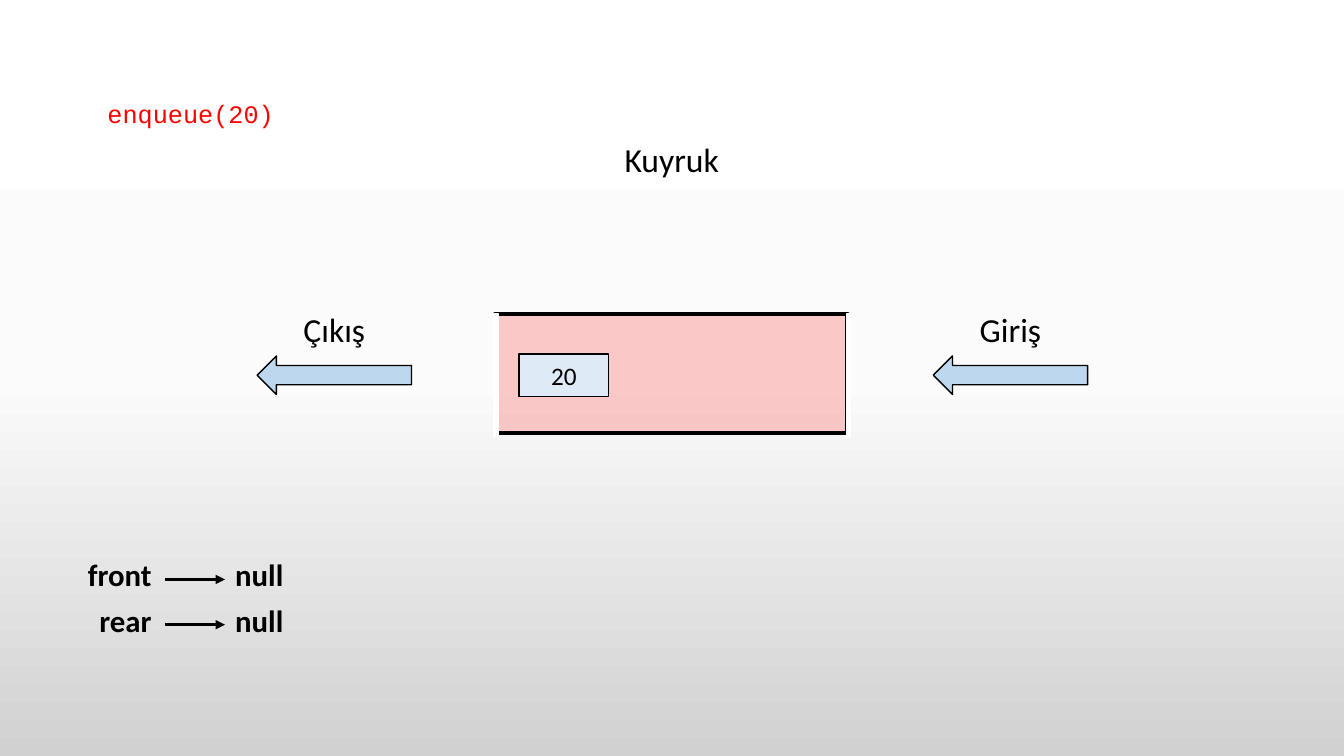
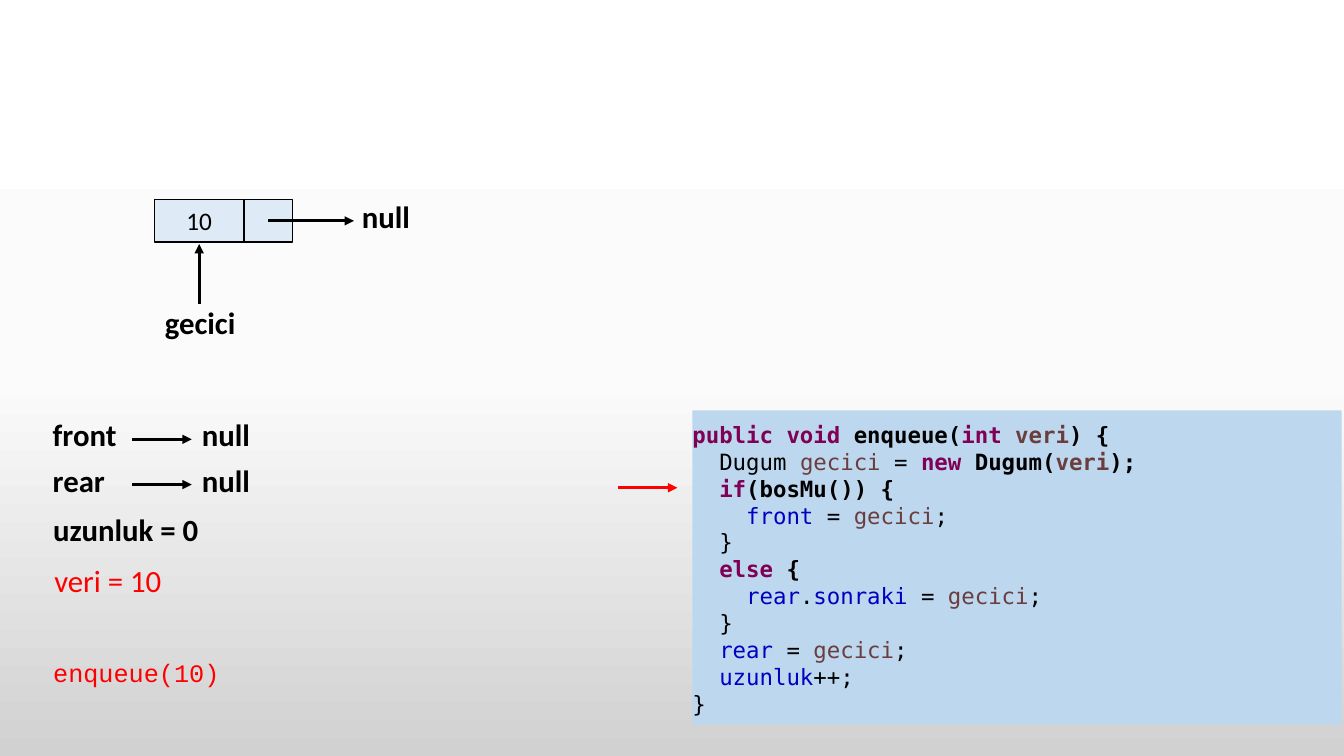
from copy import deepcopy
from dataclasses import dataclass

from lxml import etree
from pptx import Presentation
from pptx.dml.color import RGBColor as RGB
from pptx.enum.shapes import MSO_CONNECTOR as CONN, MSO_SHAPE as SHAPE
from pptx.enum.text import MSO_ANCHOR as ANCHOR, MSO_AUTO_SIZE as AUTO, PP_ALIGN as ALIGN
from pptx.oxml.ns import qn
from pptx.util import Cm, Pt


# Theme: colours and text styles
@dataclass(frozen=True)
class Style:
    font: str
    size: int
    color: str = "000000"
    bold: bool = False


@dataclass(frozen=True)
class Theme:
    black: str = "000000"
    white: str = "FFFFFF"
    red: str = "FF0000"
    blue: str = "BDD7EE"
    cell: str = "DEEBF7"
    backdrop: tuple = ((0, "FFFFFF"), (50, "FBFBFB"), (100, "D1D1D1"))
    label: Style = Style("Calibri", 24)
    value: Style = Style("Calibri", 18)
    name: Style = Style("Calibri", 22, bold=True)
    argument: Style = Style("Calibri", 22, "FF0000")
    call: Style = Style("Courier New", 18, "FF0000")


T = Theme()
MONO, MONO_SIZE = "DejaVu Sans Mono", 16
SYNTAX = {
    "key": Style(MONO, MONO_SIZE, "7F0055", True),
    "strong": Style(MONO, MONO_SIZE, T.black, True),
    "param": Style(MONO, MONO_SIZE, "6A3E3E", True),
    "plain": Style(MONO, MONO_SIZE),
    "local": Style(MONO, MONO_SIZE, "6A3E3E"),
    "field": Style(MONO, MONO_SIZE, "0000C0"),
}


@dataclass(frozen=True)
class Pointer:
    name: str
    width: float


@dataclass(frozen=True)
class Gate:
    name: str
    left: float


POINTERS = (Pointer("front", 2.13), Pointer("rear", 1.85))
POINTER_STEP = 1.14
GATES = (Gate("Giriş", 23.52), Gate("Çıkış", 6.48))
LABEL_W, NULL_W, CALL_W = 2.08, 1.73, 4.78
CELL_W, NEXT_W, CELL_H = 2.26, 1.22, 1.07

CODE = (
    (("public void ", "key"), ("enqueue(", "strong"), ("int ", "key"),
     ("veri", "param"), (") {", "strong")),
    (("  Dugum ", "plain"), ("gecici", "local"), (" = ", "plain"), ("new ", "key"),
     ("Dugum(", "strong"), ("veri", "param"), (");", "strong")),
    (("  if", "key"), ("(bosMu()) {", "strong")),
    (("    front ", "field"), ("= ", "plain"), ("gecici", "local"), (";", "plain")),
    (("  }", "plain"),),
    (("  else ", "key"), ("{", "strong")),
    (("    rear", "field"), (".", "plain"), ("sonraki ", "field"), ("= ", "plain"),
     ("gecici", "local"), (";", "plain")),
    (("  }", "plain"),),
    (("  rear ", "field"), ("= ", "plain"), ("gecici", "local"), (";", "plain")),
    (("  uzunluk", "field"), ("++;", "plain")),
    (("}", "plain"),),
)


# Drawing helpers
def add_run(p, text: str, style: Style) -> None:
    r = p.add_run()
    r.text = text
    values = {"name": style.font, "size": Pt(style.size), "bold": style.bold}
    for key, value in values.items():
        setattr(r.font, key, value)
    r.font.color.rgb = RGB.from_string(style.color)


def add_label(shapes, text: str, x: float, y: float, w: float, style: Style,
              align=ALIGN.CENTER) -> None:
    height = Pt(style.size * 1.22) + Cm(0.25)
    tf = shapes.add_textbox(Cm(x), Cm(y), Cm(w), height).text_frame
    tf.word_wrap = False
    tf.auto_size = AUTO.SHAPE_TO_FIT_TEXT
    p = tf.paragraphs[0]
    p.alignment = align
    add_run(p, text, style)


def add_box(shapes, kind, x: float, y: float, w: float, h: float, fill: str,
            line: str | None = T.black, weight: float = 1):
    sp = shapes.add_shape(kind, Cm(x), Cm(y), Cm(w), Cm(h))
    sp.shadow.inherit = False
    sp.fill.solid()
    sp.fill.fore_color.rgb = RGB.from_string(fill)
    if line is None:
        sp.line.fill.background()
    else:
        sp.line.color.rgb = RGB.from_string(line)
        sp.line.width = Pt(weight)
    return sp


def add_cell(shapes, x: float, y: float, w: float = CELL_W, text: str = "") -> None:
    sp = add_box(shapes, SHAPE.RECTANGLE, x, y, w, CELL_H, T.cell)
    if text:
        tf = sp.text_frame
        tf.vertical_anchor = ANCHOR.MIDDLE
        p = tf.paragraphs[0]
        p.alignment = ALIGN.CENTER
        add_run(p, text, T.value)


def add_arrow(shapes, x1: float, y1: float, x2: float, y2: float,
              color: str = T.black) -> None:
    cx = shapes.add_connector(CONN.STRAIGHT, Cm(x1), Cm(y1), Cm(x2), Cm(y2))
    cx.line.color.rgb = RGB.from_string(color)
    cx.line.width = Pt(2.25)
    ln = cx.line._get_or_add_ln()
    etree.SubElement(ln, qn("a:tailEnd"), type="triangle")
    etree.SubElement(cx._element.spPr, qn("a:effectLst"))


def add_pointers(s, x: float, y: float, arrow_x: float, align) -> None:
    """Draw the front and rear rows; x is the edge the names align to."""
    for i, ptr in enumerate(POINTERS):
        top = y + i * POINTER_STEP
        left = x - ptr.width if align == ALIGN.RIGHT else x
        shapes = s.shapes.add_group_shape().shapes
        add_label(shapes, "null", arrow_x + 1.5, top, NULL_W, T.name)
        add_arrow(shapes, arrow_x, top + 0.71, arrow_x + 1.5, top + 0.71)
        add_label(shapes, ptr.name, left, top, ptr.width, T.name, align)


def set_backdrop(master) -> None:
    fill = master.background.fill
    fill.gradient()
    fill.gradient_angle = 270
    stops = master.element.find(".//" + qn("a:gsLst"))
    stops.append(deepcopy(stops[-1]))
    for stop, (position, color) in zip(fill.gradient_stops, T.backdrop):
        stop.position = position / 100
        stop.color.rgb = RGB.from_string(color)


# Slides
def build_queue(s) -> None:
    shapes = s.shapes.add_group_shape().shapes
    add_label(shapes, "Kuyruk", 15.47, 3.38, 2.92, T.label)

    # Queue body, open at both ends
    body = add_box(shapes, SHAPE.RECTANGLE, 12.47, 7.92, 8.89, 3, T.red, weight=3)
    color = body.fill._xPr.find(qn("a:solidFill"))[0]
    etree.SubElement(color, qn("a:alpha"), val="20000")
    for x in (21.34, 12.45):
        add_box(shapes, SHAPE.RECTANGLE, x, 7.9, 0.1, 3.1, T.white, T.white)

    # Way in and way out
    arrow_w = 3.89
    for gate in GATES:
        add_box(shapes, SHAPE.LEFT_ARROW, gate.left, 8.97, arrow_w, 0.97, T.blue)
        add_label(shapes, gate.name, gate.left + (arrow_w - LABEL_W) / 2, 7.67,
                  LABEL_W, T.label)

    add_pointers(s, 4.07, 13.89, 4.17, ALIGN.RIGHT)
    add_label(s.shapes, "enqueue(20)", 2.46, 2.36, CALL_W, T.call, ALIGN.LEFT)
    add_cell(s.shapes, 13.08, 8.92, text="20")


def build_enqueue(s) -> None:
    shapes = s.shapes
    add_arrow(shapes, 15.57, 12.29, 17.07, 12.29, T.red)

    # New node with its reference
    x, y = 3.89, 5.03
    add_cell(shapes, x, y, text="10")
    add_cell(shapes, x + CELL_W, y, NEXT_W)
    add_arrow(shapes, x + CELL_W + NEXT_W / 2, y + CELL_H / 2, 8.92, y + CELL_H / 2)
    add_label(shapes, "null", 8.86, 4.85, NULL_W, T.name)
    add_arrow(shapes, x + CELL_W / 2, 7.67, x + CELL_W / 2, 6.15)
    add_label(shapes, "gecici", x, 7.52, 2.31, T.name)

    # State of the variables
    add_pointers(s, 1.08, 10.36, 3.33, ALIGN.LEFT)
    for text, left, top, width, style in (
        ("uzunluk = 0", 1.09, 12.75, 4.22, T.name),
        ("veri = 10", 1.12, 14.02, 3.35, T.argument),
        ("enqueue(10)", 1.09, 16.43, CALL_W, T.call),
    ):
        add_label(shapes, text, left, top, width, style, ALIGN.LEFT)

    # Code panel
    panel = add_box(shapes, SHAPE.RECTANGLE, 17.45, 10.34, 16.36, 7.92, T.blue, None)
    tf = panel.text_frame
    values = {"margin_left": 0, "margin_right": 0, "margin_top": Cm(0.2),
              "margin_bottom": Cm(0.2), "word_wrap": True,
              "vertical_anchor": ANCHOR.BOTTOM, "auto_size": AUTO.SHAPE_TO_FIT_TEXT}
    for key, value in values.items():
        setattr(tf, key, value)
    for i, line in enumerate(CODE):
        p = tf.add_paragraph() if i else tf.paragraphs[0]
        p.alignment = ALIGN.LEFT
        for text, kind in line:
            add_run(p, text, SYNTAX[kind])


def main() -> None:
    prs = Presentation()
    prs.slide_width, prs.slide_height = Cm(33.87), Cm(19.05)
    set_backdrop(prs.slide_master)
    blank = prs.slide_layouts[6]
    for build in (build_queue, build_enqueue):
        build(prs.slides.add_slide(blank))
    prs.save("out.pptx")


if __name__ == "__main__":
    main()
